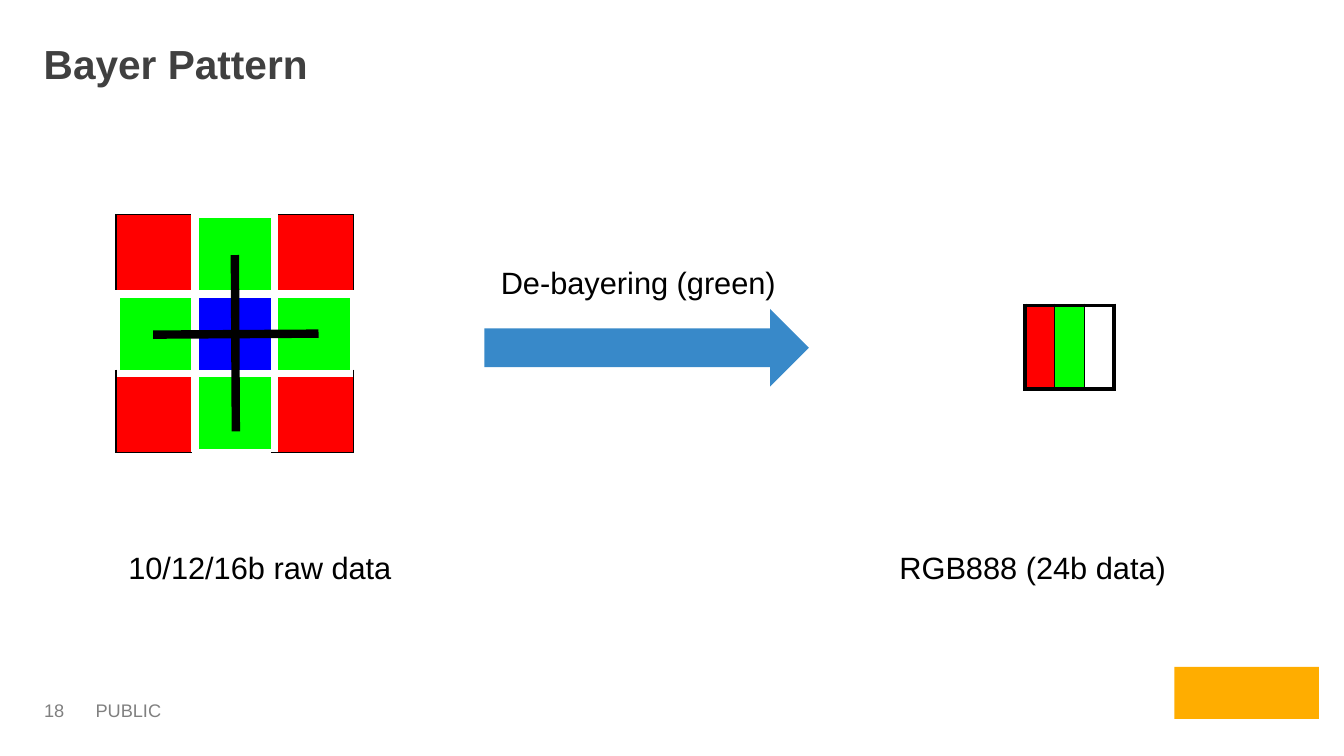
from dataclasses import dataclass

from lxml import etree
from pptx import Presentation
from pptx.dml.color import RGBColor
from pptx.enum.shapes import MSO_CONNECTOR, MSO_SHAPE
from pptx.enum.text import MSO_ANCHOR, PP_ALIGN
from pptx.oxml.ns import qn
from pptx.util import Inches, Pt

LEFT, MID = PP_ALIGN.LEFT, PP_ALIGN.CENTER
TOP, HALF = MSO_ANCHOR.TOP, MSO_ANCHOR.MIDDLE
ARROW, RECT = MSO_SHAPE.RIGHT_ARROW, MSO_SHAPE.RECTANGLE
LINE = MSO_CONNECTOR.STRAIGHT
COLS, ROWS = 160, 90


@dataclass(frozen=True)
class Theme:
    font: str = "Arial"
    head: str = "404040"
    ink: str = "000000"
    mute: str = "808080"
    paper: str = "FFFFFF"
    red: str = "FF0000"
    green: str = "00FF00"
    blue: str = "0000FF"
    arrow: str = "3889C9"
    badge: str = "FFAD00"
    title: float = 29
    body: float = 22
    foot: float = 13
    thin: float = 1
    edge: float = 3
    thick: float = 6


def unit(num):
    return Inches(num / 12)


def rgb(code):
    return RGBColor.from_string(code)


class Page:
    def __init__(self, deck, theme):
        self.theme = theme
        self.slide = deck.slides.add_slide(deck.slide_layouts[5])
        self.shapes = self.slide.shapes

    def style(self, frame, text, size, color, align=LEFT, bold=False):
        frame.text = text
        para = frame.paragraphs[0]
        para.alignment = align
        font = para.runs[0].font
        font.name, font.size, font.bold = self.theme.font, Pt(size), bold
        font.color.rgb = rgb(color)

    def title(self, text, x, y, w, h):
        box = self.shapes.title
        box.left, box.top, box.width, box.height = map(unit, (x, y, w, h))
        frame = box.text_frame
        frame.vertical_anchor = TOP
        frame.margin_top = unit(0.9)
        self.style(frame, text, self.theme.title, self.theme.head, bold=True)

    def label(self, text, x, y, w, h, size, color, align=MID, wrap=True):
        box = self.shapes.add_textbox(*map(unit, (x, y, w, h)))
        frame = box.text_frame
        frame.word_wrap = wrap
        self.style(frame, text, size, color, align)
        return frame

    def shape(self, kind, x, y, w, h, color):
        item = self.shapes.add_shape(kind, *map(unit, (x, y, w, h)))
        item.shadow.inherit = False
        item.fill.solid()
        item.fill.fore_color.rgb = rgb(color)
        item.line.fill.background()

    def line(self, x1, y1, x2, y2):
        item = self.shapes.add_connector(LINE, *map(unit, (x1, y1, x2, y2)))
        item.line.color.rgb = rgb(self.theme.ink)
        item.line.width = Pt(self.theme.thick)
        etree.SubElement(item._element.spPr, qn("a:effectLst"))

    def border(self, cell, side, color, width):
        props = cell._tc.get_or_add_tcPr()
        line = etree.SubElement(props, qn("a:ln" + side), w=str(Pt(width)))
        fill = etree.SubElement(line, qn("a:solidFill"))
        etree.SubElement(fill, qn("a:srgbClr"), val=color)

    def table(self, x, y, w, h, fills, rule):
        rows, cols = len(fills), len(fills[0])
        place = map(unit, (x, y, w, h))
        grid = self.shapes.add_table(rows, cols, *place).table
        grid.first_row = grid.horz_banding = False
        for r, row in enumerate(fills):
            for c, color in enumerate(row):
                cell = grid.cell(r, c)
                outer = {"L": c == 0, "R": c == cols - 1,
                         "T": r == 0, "B": r == rows - 1}
                for side, rim in outer.items():
                    self.border(cell, side, *rule(color, rim))
                cell.fill.solid()
                cell.fill.fore_color.rgb = rgb(color)


def main():
    deck = Presentation()
    deck.slide_width, deck.slide_height = unit(COLS), unit(ROWS)
    look = Theme()
    page = Page(deck, look)

    def mosaic(color, rim):
        if rim and color == look.red:
            return look.ink, look.thin
        return look.paper, look.thick

    def pixel(color, rim):
        return look.ink, look.edge if rim else look.thin

    page.label("PUBLIC", 10.2, 82.7, 47.8, 4.1, look.foot, look.mute, LEFT)
    count = page.label("18", 4.4, 82.7, 7.8, 3.6, look.foot, look.mute, LEFT)
    count.vertical_anchor = HALF
    count.margin_left = count.margin_right = unit(0.84)
    count.margin_top = count.margin_bottom = unit(0.48)
    page.shape(RECT, 139.8, 79.4, 17.2, 6.2, look.badge)

    page.title("Bayer Pattern", 4, 3.7, 153, 8.6)
    page.shape(ARROW, 57.66, 36.78, 38.64, 9.24, look.arrow)
    page.label("De-bayering (green)", 57.6, 30.8, 36.8, 7, look.body, look.ink)
    for text, x in (("10/12/16b raw data", 13.8), ("RGB888 (24b data)", 105.8)):
        page.label(text, x, 64.7, 34.3, 5.5, look.body, look.ink, wrap=False)

    even = [look.red, look.green, look.red]
    odd = [look.green, look.blue, look.green]
    page.table(13.8, 25.56, 28.32, 28.32, [even, odd, even], mosaic)
    page.line(18.24, 39.84, 37.92, 39.72)
    page.line(27.96, 30.36, 28.08, 51.36)
    triple = [look.red, look.green, look.paper]
    page.table(122.04, 36.36, 10.56, 9.96, [triple], pixel)

    deck.save("out.pptx")


if __name__ == "__main__":
    main()
